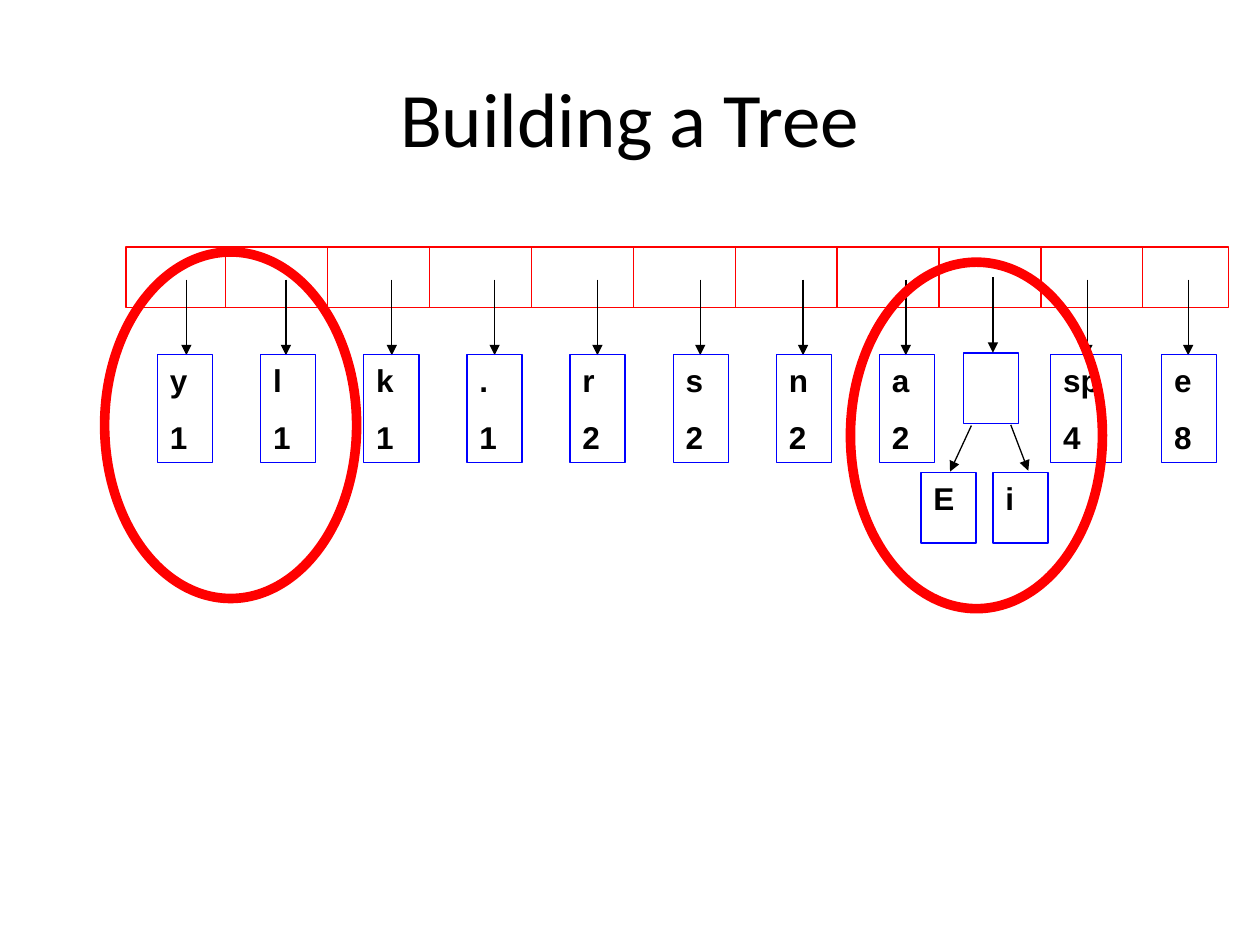
from dataclasses import dataclass

from lxml.etree import SubElement
from pptx import Presentation
from pptx.dml.color import RGBColor
from pptx.enum.shapes import MSO_CONNECTOR, MSO_SHAPE
from pptx.enum.text import MSO_ANCHOR, PP_ALIGN
from pptx.oxml.ns import qn
from pptx.util import Pt

BLACK = RGBColor(0, 0, 0)
WHITE = RGBColor(255, 255, 255)
RED = RGBColor(255, 0, 0)
BLUE = RGBColor(0, 0, 255)

BAR_LEFT, BAR_TOP, BAR_WIDTH, BAR_HEIGHT = 72, 141.1, 630, 34.6
DIVIDER_LEFT, DIVIDER_STEP, DIVIDER_COUNT = 128.9, 58.24, 10
LEAF_LEFT, LEAF_STEP, LEAF_TOP, LEAF_HEIGHT = 90, 58.94, 202.5, 61.9
POINTER_TOP, POINTER_LENGTH = 159.8, 43.2
NODE_WIDTH, NODE_HEIGHT = 31.5, 40.4
RING_WIDTH, RING_HEIGHT = 144, 198


@dataclass
class Node:
    left: float
    top: float
    height: float
    lines: tuple[str, ...] = ()
    width: float = NODE_WIDTH


@dataclass
class Segment:
    x1: float
    y1: float
    x2: float
    y2: float
    color: RGBColor = BLACK
    arrow: bool = True


def pointer(x: float, top: float = POINTER_TOP) -> Segment:
    return Segment(x, top, x, top + POINTER_LENGTH)


def leaf(left: float, symbol: str, count: str, width: float = NODE_WIDTH) -> Node:
    return Node(left, LEAF_TOP, LEAF_HEIGHT, (symbol, count), width)


def draw_shape(s, kind, left: float, top: float, width: float, height: float,
               color: RGBColor, weight: float = 0.75):
    sp = s.shapes.add_shape(kind, Pt(left), Pt(top), Pt(width), Pt(height))
    sp.shadow.inherit = False
    sp.fill.background()
    sp.line.color.rgb = color
    sp.line.width = Pt(weight)
    return sp


def draw_segment(s, seg: Segment) -> None:
    c = s.shapes.add_connector(MSO_CONNECTOR.STRAIGHT, Pt(seg.x1), Pt(seg.y1),
                               Pt(seg.x2), Pt(seg.y2))
    c.line.color.rgb = seg.color
    c.line.width = Pt(0.75)
    spPr = c._element.spPr
    if seg.arrow:
        SubElement(spPr.find(qn("a:ln")), qn("a:tailEnd"), type="triangle")
    SubElement(spPr, qn("a:effectLst"))


def draw_node(s, node: Node) -> None:
    sp = draw_shape(s, MSO_SHAPE.RECTANGLE, node.left, node.top, node.width,
                    node.height, BLUE)
    tf = sp.text_frame
    tf.word_wrap = True
    tf.vertical_anchor = MSO_ANCHOR.TOP
    for i, text in enumerate(node.lines):
        p = tf.add_paragraph() if i else tf.paragraphs[0]
        p.alignment = PP_ALIGN.LEFT
        if i:
            p.space_before = Pt(11.2)
        r = p.add_run()
        r.text = text
        r.font.name = "Arial"
        r.font.size = Pt(18)
        r.font.bold = True
        r.font.color.rgb = BLACK


def draw_title(s, text: str) -> None:
    sp = s.shapes.title
    sp.left, sp.top, sp.width, sp.height = Pt(36), Pt(21.6), Pt(648), Pt(90)
    tf = sp.text_frame
    tf.vertical_anchor = MSO_ANCHOR.MIDDLE
    p = tf.paragraphs[0]
    p.alignment = PP_ALIGN.CENTER
    r = p.add_run()
    r.text = text
    r.font.name = "Calibri"
    r.font.size = Pt(44)
    r.font.color.rgb = BLACK


def main() -> None:
    prs = Presentation()
    prs.slide_width, prs.slide_height = Pt(720), Pt(540)
    s = prs.slides.add_slide(prs.slide_layouts[5])
    draw_title(s, "Building a Tree")

    bar = draw_shape(s, MSO_SHAPE.RECTANGLE, BAR_LEFT, BAR_TOP, BAR_WIDTH,
                     BAR_HEIGHT, RED)
    bar.fill.solid()
    bar.fill.fore_color.rgb = WHITE
    for i in range(DIVIDER_COUNT):
        x = DIVIDER_LEFT + i * DIVIDER_STEP
        draw_segment(s, Segment(x, BAR_TOP, x, BAR_TOP + BAR_HEIGHT, RED, False))

    pointer_xs = [106.5, 163.4, *(223.9 + i * 58.75 for i in range(6)), 621.4, 679]
    for x in pointer_xs:
        draw_segment(s, pointer(x))

    pairs = zip("ylk.rsna", "11112222")
    nodes = [
        Node(526.3, 270, NODE_HEIGHT, ("E",)),
        Node(567.4, 270, NODE_HEIGHT, ("i",)),
        *(leaf(LEAF_LEFT + i * LEAF_STEP, *pair) for i, pair in enumerate(pairs)),
        leaf(600.4, "sp", "4", 40.4),
        leaf(663.8, "e", "8"),
        Node(550.6, 201.7, NODE_HEIGHT),
    ]
    for node in nodes:
        draw_node(s, node)

    for seg in (Segment(555.1, 243.2, 542.9, 269.5),
                Segment(577.6, 242.8, 587.6, 269), pointer(567.4, 158.4)):
        draw_segment(s, seg)

    for left, top in ((59.8, 144), (486, 149.8)):
        draw_shape(s, MSO_SHAPE.OVAL, left, top, RING_WIDTH, RING_HEIGHT, RED, 5.5)

    prs.save("out.pptx")


if __name__ == "__main__":
    main()
